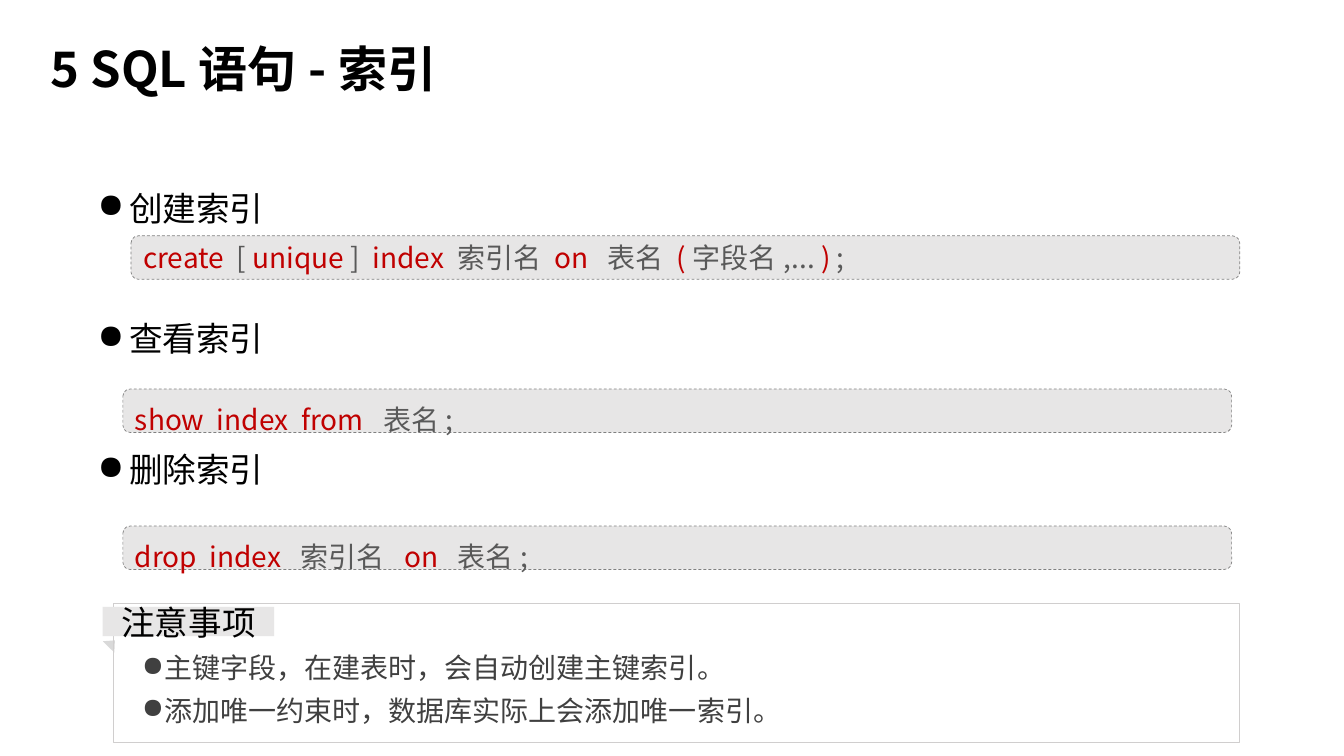
import pptx
import pptx.util
import pptx.dml.color
import pptx.enum.dml
import pptx.enum.shapes
import pptx.enum.text
import pptx.oxml.ns
from lxml import etree

Pt = pptx.util.Pt
Shape = pptx.enum.shapes.MSO_SHAPE
Anchor = pptx.enum.text.MSO_ANCHOR
Align = pptx.enum.text.PP_ALIGN
FONT = "Noto Sans CJK SC"
BLACK, RED, GREY, DARK = "000000", "C00000", "595959", "404040"
PANEL = "E7E6E6"


def color(value):
    return pptx.dml.color.RGBColor.from_string(value)


def style_span(span, size, ink, bold=False):
    span.font.size = Pt(size)
    span.font.bold = bold
    span.font.color.rgb = color(ink)
    span.font.name = FONT
    east = etree.SubElement(span._r.get_or_add_rPr(), pptx.oxml.ns.qn("a:ea"))
    east.set("typeface", FONT)


def add_bullet(para, margin, indent):
    props = para._p.get_or_add_pPr()
    props.set("marL", str(Pt(margin)))
    props.set("indent", str(Pt(indent)))
    bullet = etree.SubElement(props, pptx.oxml.ns.qn("a:buChar"))
    bullet.set("char", "●")


def add_block(page, kind, left, top, width, height, fill=None, line=None, weight=0.75):
    block = page.shapes.add_shape(kind, Pt(left), Pt(top), Pt(width), Pt(height))
    block.shadow.inherit = False
    if fill:
        block.fill.solid()
        block.fill.fore_color.rgb = color(fill)
    else:
        block.fill.background()
    if line:
        block.line.color.rgb = color(line)
        block.line.width = Pt(weight)
    else:
        block.line.fill.background()
    return block


def add_list(page, left, top, width, height, items, size, ink, margin, indent,
             spacing, gap=0, level=0):
    box = page.shapes.add_textbox(Pt(left), Pt(top), Pt(width), Pt(height))
    frame = box.text_frame
    frame.word_wrap = True
    frame.text = "\n".join(items)
    for index, para in enumerate(frame.paragraphs):
        add_bullet(para, margin, indent)
        para.level = level
        para.line_spacing = spacing
        para.space_before = Pt(gap if index else 0)
        style_span(para.runs[0], size, ink)


def add_title(page, left, top, width, height, text):
    title = page.shapes.title
    title.left, title.top, title.width, title.height = map(Pt, (left, top, width, height))
    frame = title.text_frame
    frame.text = text
    frame.word_wrap = True
    frame.vertical_anchor = Anchor.MIDDLE
    para = frame.paragraphs[0]
    para.alignment = Align.LEFT
    para.line_spacing = 0.9
    style_span(para.runs[0], 35, BLACK, True)


def add_code(page, left, top, width, height, pieces, spacing):
    panel = add_block(page, Shape.ROUNDED_RECTANGLE, left, top, width, height,
                      PANEL, "808080", 0.5)
    panel.line.dash_style = pptx.enum.dml.MSO_LINE.DASH
    frame = panel.text_frame
    frame.word_wrap = True
    frame.vertical_anchor = Anchor.MIDDLE
    para = frame.paragraphs[0]
    para.alignment = Align.LEFT
    para.line_spacing = spacing
    for index, piece in enumerate(pieces):
        span = para.add_run()
        span.text = piece
        style_span(span, 20, GREY if index % 2 else RED)


def add_notice(page, left, top, width, height, heading, items):
    add_list(page, left + 20.9, top + 23.8, width - 57, height - 23.8, items,
             20, DARK, 4.3, -27.4, 1.26, level=1)
    fold = add_block(page, Shape.ISOSCELES_TRIANGLE, left + 0.7, top + 25.2, 11.5, 6.5, "D9D9D9")
    fold.rotation = 44.2
    add_block(page, Shape.RECTANGLE, left + 7.9, top, width - 7.9, height, line="D0CECE")
    label = add_block(page, Shape.RECTANGLE, left, top + 2.2, 122.4, 20.9, PANEL)
    frame = label.text_frame
    frame.text = heading
    frame.word_wrap = True
    frame.vertical_anchor = Anchor.MIDDLE
    para = frame.paragraphs[0]
    para.alignment = Align.CENTER
    style_span(para.runs[0], 24, BLACK)


def build_index_page(deck):
    page = deck.slides.add_slide(deck.slide_layouts[5])
    add_title(page, 28.8, 23, 450.7, 56.2, "5 SQL语句-索引")
    add_list(page, 62.6, 108.7, 822.2, 272.9, ["创建索引", "查看索引", "删除索引"],
             24, BLACK, 22.5, -22.5, 1.75, gap=43)
    statements = [
        (93.6, 168.5, 1, ["create  ", "[ ", "unique ", "]  ", "index ", "索引名 ",
                          "on  ", "表名 ", "(", "字段名,... ", ") ", ";"]),
        (87.8, 277.9, 1.5, ["show  index  from  ", "表名;"]),
        (87.8, 375.8, 1.5, ["drop  index  ", "索引名  ", "on  ", "表名;"]),
    ]
    for left, top, spacing, pieces in statements:
        add_code(page, left, top, 792, 31, pieces, spacing)
    add_notice(page, 73.4, 431.3, 812.2, 99.4, "注意事项",
               ["主键字段，在建表时，会自动创建主键索引。",
                "添加唯一约束时，数据库实际上会添加唯一索引。"])


def main():
    deck = pptx.Presentation()
    deck.slide_width, deck.slide_height = Pt(960), Pt(540)
    build_index_page(deck)
    deck.save("out.pptx")


if __name__ == "__main__":
    main()
